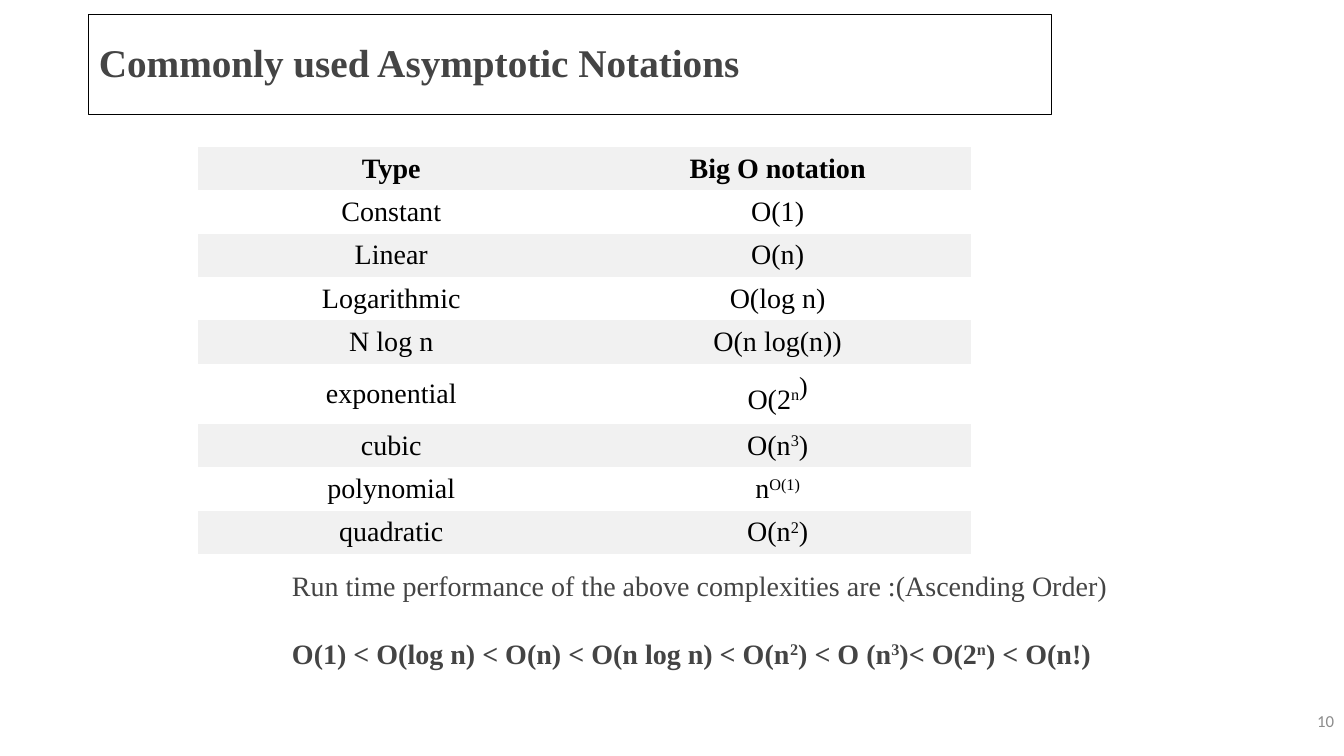
import pptx
import pptx.dml.color
import pptx.enum.shapes
import pptx.enum.text
import pptx.oxml.ns
import pptx.util

Pt = pptx.util.Pt
ALIGN = pptx.enum.text.PP_ALIGN
MIDDLE = pptx.enum.text.MSO_ANCHOR.MIDDLE
NO_STYLE_NO_GRID = "{2D5ABB26-0587-4C30-8999-92F81FD0307C}"

COMPLEXITIES = [
    ("Type", "Big O notation"),
    ("Constant", "O(1)"),
    ("Linear", "O(n)"),
    ("Logarithmic", "O(log n)"),
    ("N log n", "O(n log(n))"),
    ("exponential", "O(2^n^"),
    ("cubic", "O(n^3^)"),
    ("polynomial", "n^O(1)^"),
    ("quadratic", "O(n^2^)"),
]
EXPONENTIAL_ROW = 5


def rgb(color):
    return pptx.dml.color.RGBColor.from_string(color)


class Deck:
    font, gray, black, band, white = "Times New Roman", "444444", "000000", "F1F1F1", "FFFFFF"

    def __init__(self, width, height):
        self.prs = pptx.Presentation()
        self.prs.slide_width, self.prs.slide_height = Pt(width), Pt(height)
        self.slide = self.prs.slides.add_slide(self.prs.slide_layouts[6])

    def add_text(self, p, text, size=20, color=gray, bold=False, font=font):
        """Append text to a paragraph; parts between carets are superscript."""
        for i, part in enumerate(text.split("^")):
            if not part:
                continue
            r = p.add_run()
            r.text = part
            r.font.name, r.font.size, r.font.bold = font, Pt(size), bold
            r.font.color.rgb = rgb(color)
            if i % 2:
                r.font._element.set("baseline", "30000")

    def title(self, text, *box):
        sp = self.slide.shapes.add_shape(
            pptx.enum.shapes.MSO_SHAPE.RECTANGLE, *map(Pt, box))
        sp.shadow.inherit = False
        sp.fill.background()
        sp.line.color.rgb, sp.line.width = rgb(self.black), Pt(0.75)
        tf = sp.text_frame
        tf.word_wrap, tf.vertical_anchor = True, MIDDLE
        p = tf.paragraphs[0]
        p.alignment, p.line_spacing = ALIGN.LEFT, 0.9
        self.add_text(p, text, 28, bold=True)

    def textbox(self, *box):
        tf = self.slide.shapes.add_textbox(*map(Pt, box)).text_frame
        tf.word_wrap = True
        return tf

    def table(self, rows, left, top, width, row_height):
        table = self.slide.shapes.add_table(
            len(rows), len(rows[0]), Pt(left), Pt(top),
            Pt(width), Pt(row_height * len(rows))).table
        style = table._tbl.tblPr.find(pptx.oxml.ns.qn("a:tableStyleId"))
        style.text = NO_STYLE_NO_GRID
        for i, row in enumerate(rows):
            for j, text in enumerate(row):
                cell = table.cell(i, j)
                cell.fill.solid()
                cell.fill.fore_color.rgb = rgb(self.white if i % 2 else self.band)
                cell.vertical_anchor = MIDDLE
                cell.margin_left = cell.margin_right = Pt(2.25)
                cell.margin_top = cell.margin_bottom = Pt(2.25)
                p = cell.text_frame.paragraphs[0]
                p.alignment = ALIGN.CENTER
                self.add_text(p, text, color=self.black, bold=i == 0)
        return table


def main():
    deck = Deck(960, 540)
    deck.title("Commonly used Asymptotic Notations", 63.5, 10.5, 687.5, 71.5)

    tf = deck.textbox(744, 500.5, 216, 28.5)
    tf.vertical_anchor = MIDDLE
    tf.paragraphs[0].alignment = ALIGN.RIGHT
    deck.add_text(tf.paragraphs[0], "10", 12, "8C8C8C", font="Calibri")

    table = deck.table(COMPLEXITIES, 141.5, 105, 552, 31)
    p = table.cell(EXPONENTIAL_ROW, 1).text_frame.paragraphs[0]
    deck.add_text(p, "^)^", 32, deck.black)

    tf = deck.textbox(201.5, 402.5, 674.5, 80)
    deck.add_text(tf.paragraphs[0],
                  "Run time performance of the above complexities are :(Ascending Order)")
    p = tf.add_paragraph()
    p.space_before = Pt(24.5)
    deck.add_text(p, "O(1) < O(log n) < O(n) < O(n log n) < O(n^2^) < O (n^3^)< O(2^n^) < O(n!)",
                  bold=True)

    deck.prs.save("out.pptx")


if __name__ == "__main__":
    main()
